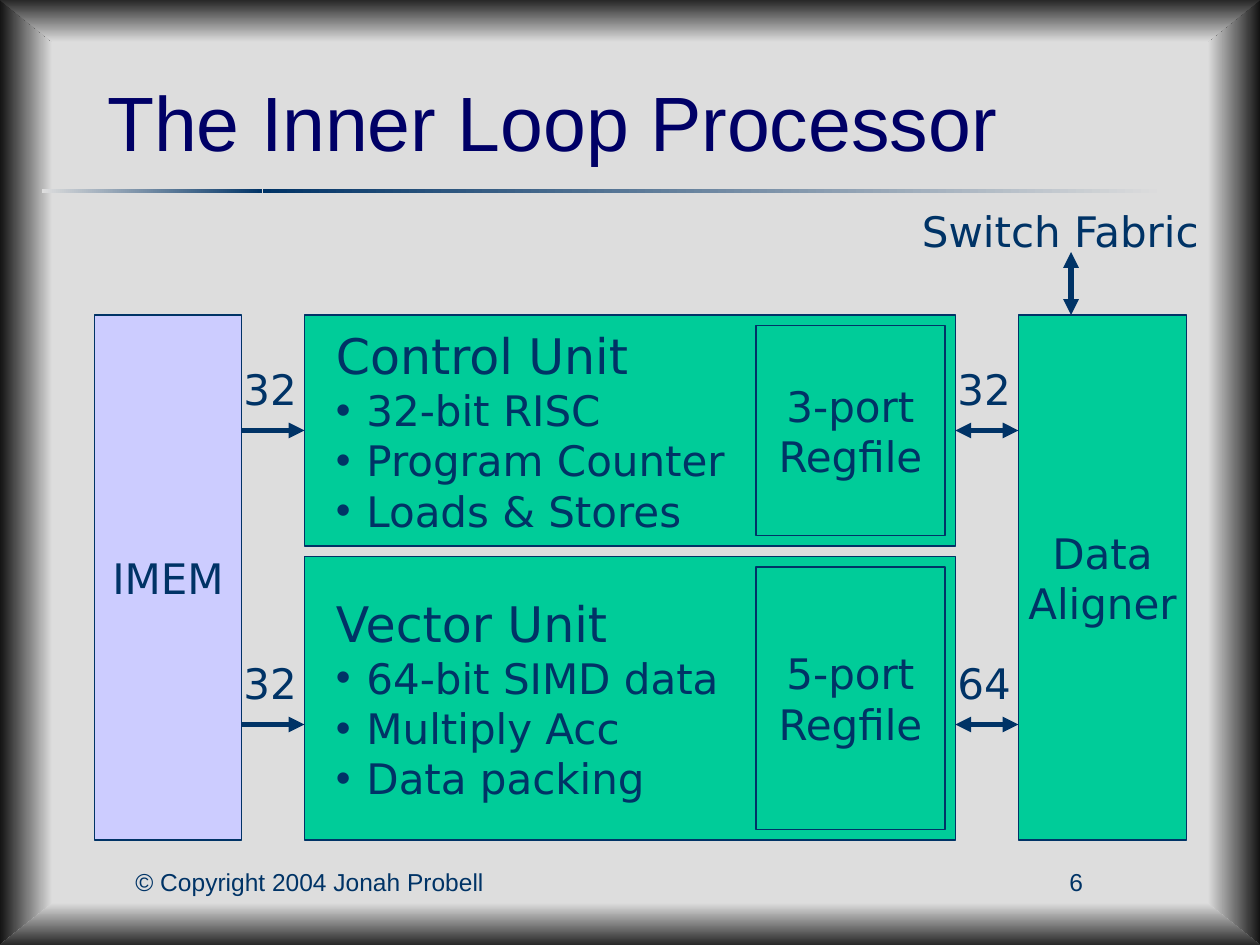
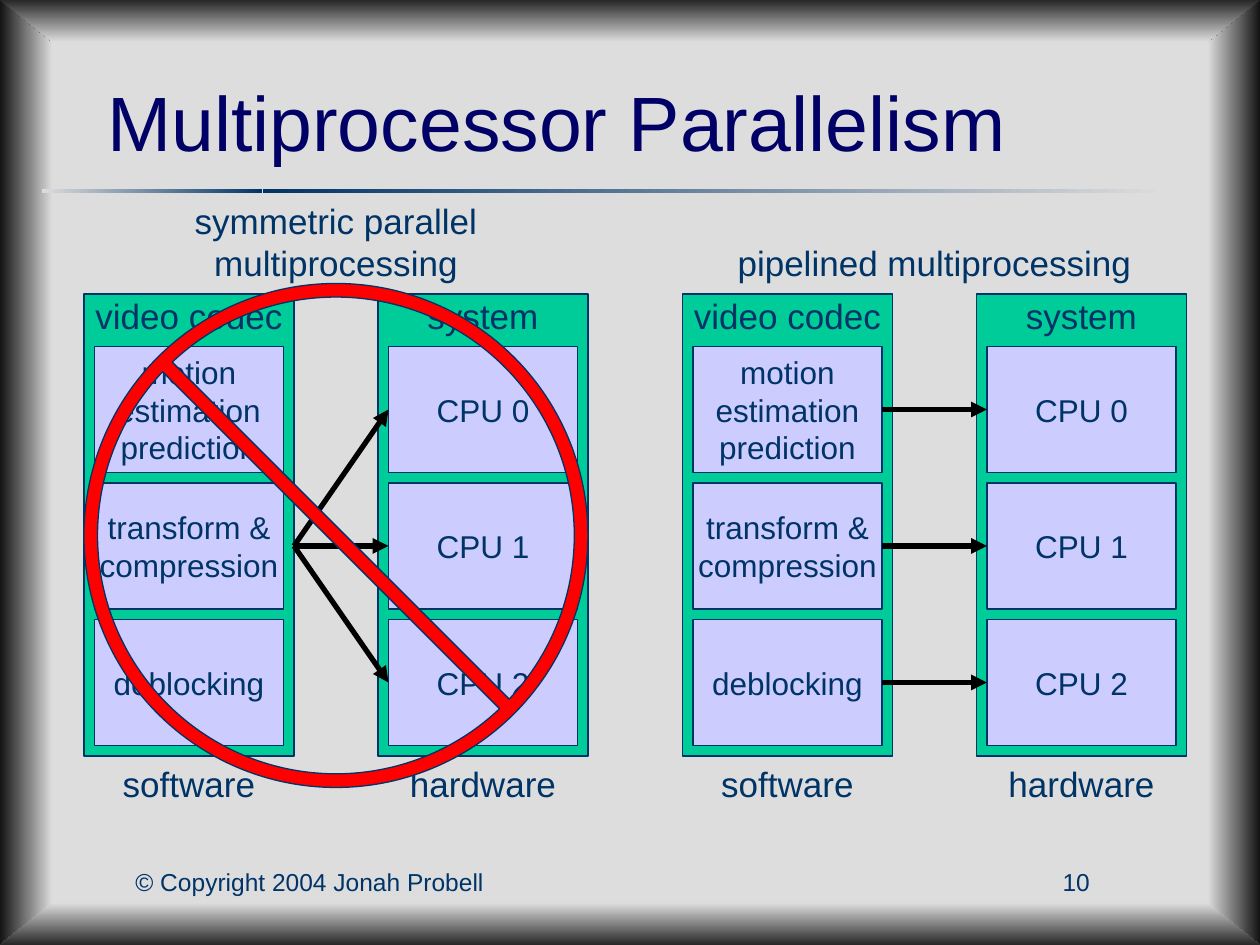
from lxml.etree import SubElement
from pptx import Presentation
from pptx.dml.color import RGBColor
from pptx.enum.shapes import MSO_CONNECTOR, MSO_SHAPE
from pptx.enum.text import MSO_ANCHOR, MSO_AUTO_SIZE, PP_ALIGN
from pptx.oxml.ns import qn
from pptx.util import Pt

PX = 7620
SLIDE_WIDTH, SLIDE_HEIGHT = 1200, 900

COLORS = {
    "paper": "DDDDDD",
    "side_shadow": "131313",
    "edge_shadow": "272727",
    "navy": "003366",
    "title": "000066",
    "green": "00CC99",
    "lavender": "CCCCFF",
    "black": "000000",
    "red": "FF0000",
}
LEFT_TO_RIGHT, TOP_TO_BOTTOM = 0, 270
SANS, WIDE = "Arial", "DejaVu Sans"
TITLE = {"name": SANS, "size": Pt(44)}
FOOTER = {"name": SANS, "size": Pt(14)}
HEADING = {"name": SANS, "size": Pt(20)}
STAGE = {"name": SANS, "size": Pt(18)}
BLOCK = {"name": WIDE, "size": Pt(24)}
UNIT_NAME = {"name": WIDE, "size": Pt(28)}
TEXT_INSETS = (12, 6, 12, 6)
NO_INSETS = (0, 0, 0, 0)


def color(name):
    return RGBColor.from_string(COLORS[name])


def emu(*lengths):
    return [length * PX for length in lengths]


def set_attributes(target, values):
    for name, value in values.items():
        setattr(target, name, value)


def format_frame(shape, anchor, insets):
    left, top, right, bottom = emu(*insets)
    set_attributes(shape.text_frame, {
        "auto_size": MSO_AUTO_SIZE.NONE,
        "word_wrap": True,
        "vertical_anchor": anchor,
        "margin_left": left,
        "margin_top": top,
        "margin_right": right,
        "margin_bottom": bottom,
    })


def write_paragraph(paragraph, text, font, align, font_color="navy"):
    paragraph.text = text
    paragraph.alignment = align
    set_attributes(paragraph.font, font)
    paragraph.font.color.rgb = color(font_color)


def write_lines(shape, lines, font, align=PP_ALIGN.CENTER,
                anchor=MSO_ANCHOR.MIDDLE, insets=NO_INSETS):
    format_frame(shape, anchor, insets)
    frame = shape.text_frame
    for index, line in enumerate(lines):
        paragraph = frame.add_paragraph() if index else frame.paragraphs[0]
        write_paragraph(paragraph, line, font, align)


def add_text(slide, box, text, font, align=PP_ALIGN.CENTER,
             anchor=MSO_ANCHOR.TOP, insets=TEXT_INSETS):
    shape = slide.shapes.add_textbox(*emu(*box))
    write_lines(shape, [text], font, align, anchor, insets)


def add_block(slide, box, fill, preset=MSO_SHAPE.RECTANGLE):
    shape = slide.shapes.add_shape(preset, *emu(*box))
    shape.shadow.inherit = False
    shape.fill.solid()
    shape.fill.fore_color.rgb = color(fill)
    shape.line.color.rgb = color("navy")
    shape.line.width = Pt(0.75)
    return shape


def add_arrow(slide, start, end, line_color, both_ends=False):
    connector = slide.shapes.add_connector(
        MSO_CONNECTOR.STRAIGHT, *emu(*start, *end))
    connector.line.color.rgb = color(line_color)
    connector.line.width = Pt(3)
    properties = connector.element.spPr
    line = properties.get_or_add_ln()
    for tag in ("a:headEnd", "a:tailEnd") if both_ends else ("a:tailEnd",):
        SubElement(line, qn(tag), type="triangle")
    SubElement(properties, qn("a:effectLst"))


def add_bullet(paragraph, indent):
    properties = paragraph._p.get_or_add_pPr()
    properties.set("marL", str(indent * PX))
    properties.set("indent", str(-indent * PX))
    bullet_color = SubElement(properties, qn("a:buClr"))
    SubElement(bullet_color, qn("a:srgbClr"), val=COLORS["navy"])
    SubElement(properties, qn("a:buFont"), typeface=SANS)
    SubElement(properties, qn("a:buChar"), char="•")


def fill_gradient(shape, start, end, angle):
    shape.shadow.inherit = False
    shape.line.fill.background()
    shape.fill.gradient()
    shape.fill.gradient_angle = angle
    for stop, name in zip(shape.fill.gradient_stops, (start, end)):
        stop.color.rgb = color(name)


def build_backdrop(slide, layout):
    layout.background.fill.solid()
    layout.background.fill.fore_color.rgb = color("paper")
    side, edge = 50, 40
    bars = [
        ((0, 0, side, SLIDE_HEIGHT), "side_shadow", "paper"),
        ((SLIDE_WIDTH - side, 0, side, SLIDE_HEIGHT), "paper", "side_shadow"),
        ((40, 180, 210, 4), "paper", "navy"),
        ((250, 180, 860, 4), "navy", "paper"),
    ]
    edges = [
        (0, edge, "edge_shadow", "paper"),
        (SLIDE_HEIGHT, SLIDE_HEIGHT - edge, "paper", "edge_shadow"),
    ]
    parts = []
    for box, start, end in bars:
        shape = slide.shapes.add_shape(MSO_SHAPE.RECTANGLE, *emu(*box))
        fill_gradient(shape, start, end, LEFT_TO_RIGHT)
        parts.append(shape)
    for outer, inner, start, end in edges:
        builder = slide.shapes.build_freeform(0, outer, PX)
        builder.add_line_segments([
            (SLIDE_WIDTH, outer), (SLIDE_WIDTH - side, inner), (side, inner)])
        shape = builder.convert_to_shape()
        fill_gradient(shape, start, end, TOP_TO_BOTTOM)
        parts.append(shape)
    for shape in parts:
        layout.shapes.element.append(shape.element)


def add_titled_slide(presentation, layout, title, number):
    slide = presentation.slides.add_slide(layout)
    shape = slide.shapes.title
    left, top, width, height = emu(90, 50, 1020, 130)
    set_attributes(shape, {
        "left": left, "top": top, "width": width, "height": height})
    format_frame(shape, MSO_ANCHOR.MIDDLE, TEXT_INSETS)
    write_paragraph(shape.text_frame.paragraphs[0], title, TITLE,
                    PP_ALIGN.LEFT, "title")
    add_text(slide, (90, 820, 410, 30), "© Copyright 2004 Jonah Probell", FOOTER)
    add_text(slide, (940, 820, 170, 30), str(number), FOOTER)
    return slide


def add_unit(slide, box, name, features, register_file):
    left, top, width, height = box
    shape = add_block(slide, box, "green")
    write_lines(shape, [name], UNIT_NAME, PP_ALIGN.LEFT, insets=(30, 0, 30, 0))
    for feature in features:
        paragraph = shape.text_frame.add_paragraph()
        add_bullet(paragraph, 29)
        write_paragraph(paragraph, feature, BLOCK, PP_ALIGN.LEFT)
    gap, file_width = 10, 180
    file_box = (left + width - gap - file_width, top + gap,
                file_width, height - 2 * gap)
    write_lines(add_block(slide, file_box, "green"), register_file, BLOCK)


def add_bus(slide, left, middle, bits, both_ends):
    add_arrow(slide, (left, middle), (left + 60, middle), "navy", both_ends)
    add_text(slide, (left - 10, middle - 70, 80, 60), bits, BLOCK, PP_ALIGN.LEFT)


def build_processor(slide, box):
    left, top, width, height = box
    memory_width, aligner_width, bus_width, gap = 140, 160, 60, 10
    unit_left = left + memory_width + bus_width
    aligner_left = left + width - aligner_width
    unit_width = aligner_left - bus_width - unit_left
    control_height = 220
    vector_top = top + control_height + gap

    for text, fill, block_left, block_width in (
            ("IMEM", "lavender", left, memory_width),
            ("Data Aligner", "green", aligner_left, aligner_width)):
        block = add_block(slide, (block_left, top, block_width, height), fill)
        write_lines(block, [text], BLOCK)
    add_unit(slide, (unit_left, top, unit_width, control_height), "Control Unit",
             ["32-bit RISC", "Program Counter", "Loads & Stores"],
             ["3-port", "Regfile"])
    add_unit(slide, (unit_left, vector_top, unit_width, top + height - vector_top),
             "Vector Unit", ["64-bit SIMD data", "Multiply Acc", "Data packing"],
             ["5-port", "Regfile"])

    for middle, fetch_bits, data_bits in ((110, "32", "32"), (390, "32", "64")):
        add_bus(slide, left + memory_width, top + middle, fetch_bits, False)
        add_bus(slide, aligner_left - bus_width, top + middle, data_bits, True)
    fabric_x = aligner_left + 50
    add_arrow(slide, (fabric_x, top), (fabric_x, top - 60), "navy", True)
    add_text(slide, (fabric_x - 160, top - 110, 300, 60), "Switch Fabric", BLOCK)


def add_stack(slide, box, heading, stages, label):
    left, top, width, height = box
    write_lines(add_block(slide, box, "green"), [heading], HEADING,
                anchor=MSO_ANCHOR.TOP)
    for index, stage in enumerate(stages):
        stage_box = (left + 10, top + 50 + 130 * index, width - 20, 120)
        write_lines(add_block(slide, stage_box, "lavender"), [stage], STAGE)
    add_text(slide, (left, top + height, width, 50), label, HEADING)


def build_multiprocessing(slide, box, caption, symmetric):
    left, top, width, height = box
    stack_width = 200
    system_left = left + width - stack_width
    add_stack(slide, (left, top, stack_width, height), "video codec",
              ["motion estimation prediction", "transform & compression",
               "deblocking"], "software")
    add_stack(slide, (system_left, top, stack_width, height), "system",
              [f"CPU {index}" for index in range(3)], "hardware")
    for index in range(3):
        middle = top + 110 + 130 * index
        if symmetric:
            start = (left + stack_width, top + 240)
        else:
            start = (left + stack_width - 10, middle)
        add_arrow(slide, start, (system_left + 10, middle), "black")
    add_text(slide, (left, top - 90, width, 80), caption, HEADING,
             anchor=MSO_ANCHOR.BOTTOM, insets=NO_INSETS)
    if symmetric:
        sign = add_block(slide, (left, top - 10, width, width), "red",
                         MSO_SHAPE.NO_SYMBOL)
        sign.adjustments[0] = 0.027


def main():
    presentation = Presentation()
    presentation.slide_width, presentation.slide_height = emu(
        SLIDE_WIDTH, SLIDE_HEIGHT)
    layout = presentation.slide_layouts.get_by_name("Title Only")

    processor = add_titled_slide(
        presentation, layout, "The Inner Loop Processor", 6)
    build_backdrop(processor, layout)
    build_processor(processor, (90, 300, 1040, 500))

    parallelism = add_titled_slide(
        presentation, layout, "Multiprocessor Parallelism", 10)
    build_multiprocessing(parallelism, (80, 280, 480, 440),
                          "symmetric parallel multiprocessing", True)
    build_multiprocessing(parallelism, (650, 280, 480, 440),
                          "pipelined multiprocessing", False)
    presentation.save("out.pptx")


if __name__ == "__main__":
    main()
